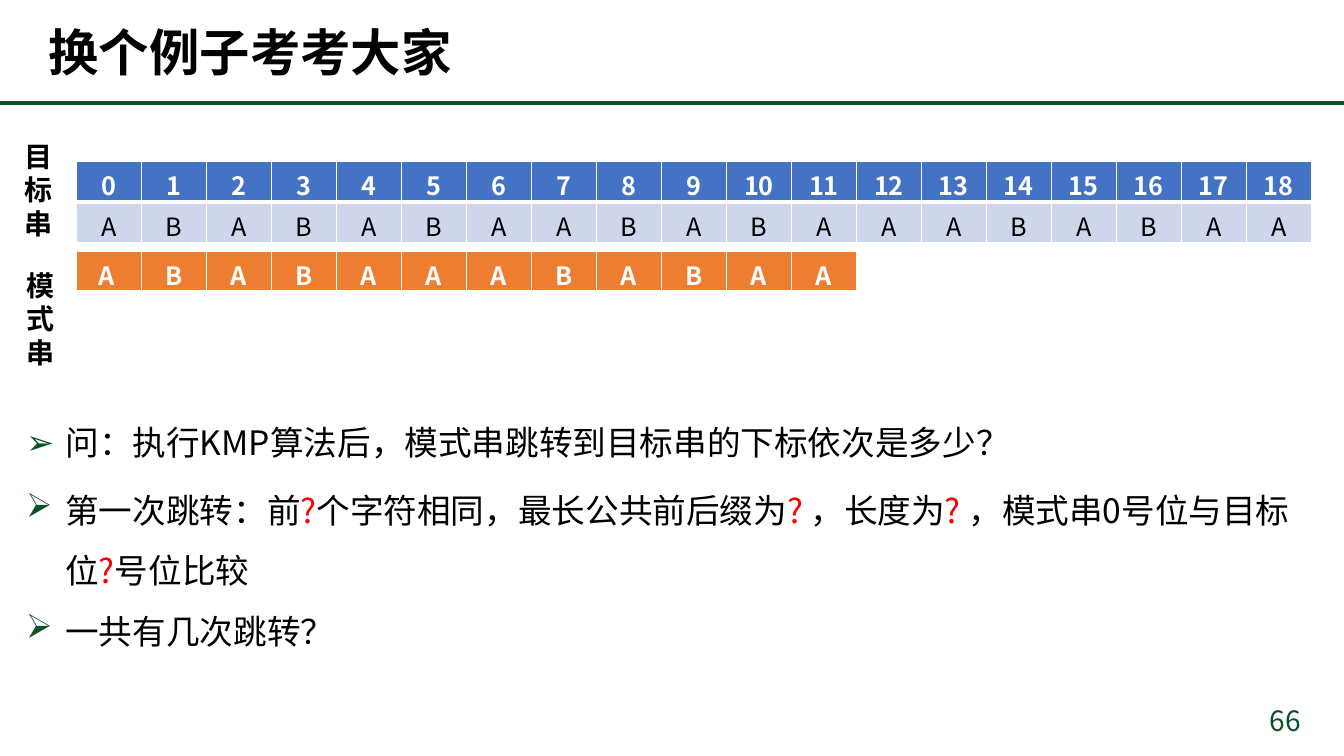
"""Build a slide that quizzes readers on the jumps of KMP matching."""
from dataclasses import dataclass

from lxml import etree
from pptx import Presentation
from pptx.dml.color import RGBColor
from pptx.enum.shapes import MSO_CONNECTOR
from pptx.enum.text import MSO_ANCHOR, MSO_AUTO_SIZE, PP_ALIGN
from pptx.oxml.ns import qn
from pptx.util import Inches, Pt

STRAIGHT = MSO_CONNECTOR.STRAIGHT
TOP, MIDDLE = MSO_ANCHOR.TOP, MSO_ANCHOR.MIDDLE
FIXED, GROW = MSO_AUTO_SIZE.NONE, MSO_AUTO_SIZE.SHAPE_TO_FIT_TEXT
LEFT, CENTER, RIGHT = PP_ALIGN.LEFT, PP_ALIGN.CENTER, PP_ALIGN.RIGHT

FONT = "Noto Sans CJK SC"
COLORS = {
    "green": "0B5128", "black": "000000", "white": "FFFFFF", "red": "FF0000",
    "blue": "4472C4", "pale": "CFD5EA", "orange": "ED7D31",
}
WIDE, TALL = 13.33, 7.5
RULE_Y = 1.02
CELL_W = 12.25 / 19
GRID_X = 0.76
INDENT = 0.39


@dataclass(frozen=True)
class Style:
    """Hold the look of a text."""
    size: int
    color: str = "black"
    bold: bool = False
    align: PP_ALIGN = LEFT
    bullet: bool = False


@dataclass(frozen=True)
class Block:
    """Hold a text box; red parts of a line stand between bars."""
    at: tuple[float, float, float, float]
    lines: tuple[str, ...]
    style: Style
    anchor: MSO_ANCHOR = TOP
    fit: MSO_AUTO_SIZE = GROW


@dataclass(frozen=True)
class Row:
    """Hold one row of a grid."""
    texts: list[str]
    fill: str
    style: Style
    edges: dict[str, int]


@dataclass(frozen=True)
class Grid:
    """Hold the place and rows of a table."""
    top: float
    height: float
    rows: tuple[Row, ...]


HEAD = Style(18, "white", True, CENTER)
PLAIN = Style(18, align=CENTER)
LABEL = Style(20, bold=True)
POINT = Style(24, bullet=True)
THICK = {"lnL": 1, "lnR": 1, "lnT": 1, "lnB": 3}
THIN = {"lnL": 1, "lnR": 1, "lnT": 3, "lnB": 1}

TITLE = Block((0.38, 0, 11.17, RULE_Y), ("换个例子考考大家",),
              Style(36, bold=True), MIDDLE, FIXED)
BODY = Block((0.16, 3.94, 11.84, 0.64),
             ("问：执行KMP算法后，模式串跳转到目标串的下标依次是多少？",), POINT)
BLOCKS = (
    Block((10, 6.93, 3, 0.4), ("66",), Style(20, "green", align=RIGHT), fit=FIXED),
    Block((0.14, 1.33, 0.62, 1.11), ("目标串",), LABEL),
    Block((0.16, 2.61, 0.5, 1.11), tuple("模式串"), LABEL),
    Block((0.16, 4.61, 12.85, 1.85),
          ("第一次跳转：前|?|个字符相同，最长公共前后缀为|? |，长度为|? |，"
           "模式串0号位与目标位|?|号位比较", "一共有几次跳转？"), POINT),
)
GRIDS = (
    Grid(1.6, 0.81, (
        Row([str(num) for num in range(19)], "blue", HEAD, THICK),
        Row(list("ABABABAABABAAABABAA"), "pale", PLAIN, THIN),
    )),
    Grid(2.49, 0.3, (
        Row(["A "] + list("BABAAABABAA"), "orange", HEAD, THICK),
    )),
)


def paint(name: str) -> RGBColor:
    """Return a named color."""
    return RGBColor.from_string(COLORS[name])


def assign(target: object, values: dict[str, object]) -> None:
    """Set each value on the target."""
    for name, value in values.items():
        setattr(target, name, value)


def add_bullet(para) -> None:
    """Give a paragraph an arrow bullet and a hanging indent."""
    props = para._p.get_or_add_pPr()
    props.set("marL", str(Inches(INDENT)))
    props.set("indent", str(-Inches(INDENT)))
    tint = etree.SubElement(props, qn("a:buClr"))
    etree.SubElement(tint, qn("a:srgbClr"), val=COLORS["green"])
    etree.SubElement(props, qn("a:buChar"), char="➢")


def write(frame, lines: tuple[str, ...], style: Style) -> None:
    """Write styled lines into a text frame."""
    for order, line in enumerate(lines):
        para = frame.add_paragraph() if order else frame.paragraphs[0]
        assign(para, {"alignment": style.align, "space_before": Pt(0),
                      "line_spacing": 1.5 if style.bullet else 1.0})
        if style.bullet:
            add_bullet(para)
        for part, text in enumerate(line.split("|")):
            run = para.add_run()
            run.text = text
            assign(run.font, {"name": FONT, "size": Pt(style.size), "bold": style.bold})
            run.font.color.rgb = paint("red" if part % 2 else style.color)
            latin = run.font._element.find(qn("a:latin"))
            latin.addnext(etree.Element(qn("a:ea"), typeface=FONT))


def fill_block(shape, block: Block) -> None:
    """Place a shape and write its block of text."""
    sides = ("left", "top", "width", "height")
    assign(shape, {side: Inches(value) for side, value in zip(sides, block.at)})
    assign(shape.text_frame, {"word_wrap": True, "auto_size": block.fit,
                              "vertical_anchor": block.anchor})
    write(shape.text_frame, block.lines, block.style)


def edge_cell(cell, edges: dict[str, int]) -> None:
    """Draw the white borders of a cell."""
    props = cell._tc.get_or_add_tcPr()
    for order, (side, width) in enumerate(edges.items()):
        line = etree.Element(qn(f"a:{side}"), w=str(Pt(width)))
        solid = etree.SubElement(line, qn("a:solidFill"))
        etree.SubElement(solid, qn("a:srgbClr"), val=COLORS["white"])
        props.insert(order, line)


def add_grid(slide, grid: Grid) -> None:
    """Add a table of letters."""
    count = len(grid.rows[0].texts)
    table = slide.shapes.add_table(
        len(grid.rows), count, Inches(GRID_X), Inches(grid.top),
        Inches(CELL_W * count), Inches(grid.height)).table
    assign(table, {"first_row": False, "horz_banding": False})
    for column in table.columns:
        column.width = Inches(CELL_W)
    for line, row in zip(table.rows, grid.rows):
        for cell, text in zip(line.cells, row.texts):
            cell.fill.solid()
            cell.fill.fore_color.rgb = paint(row.fill)
            edge_cell(cell, row.edges)
            write(cell.text_frame, (text,), row.style)


def add_rule(slide) -> None:
    """Add the green line under the title."""
    rule = slide.shapes.add_connector(
        STRAIGHT, Inches(0), Inches(RULE_Y), Inches(WIDE), Inches(RULE_Y))
    rule.line.color.rgb = paint("green")
    rule.line.width = Pt(3)
    etree.SubElement(rule._element.spPr, qn("a:effectLst"))


def main() -> None:
    """Build and save the slide."""
    deck = Presentation()
    assign(deck, {"slide_width": Inches(WIDE), "slide_height": Inches(TALL)})
    slide = deck.slides.add_slide(deck.slide_layouts[1])
    add_rule(slide)
    fill_block(slide.shapes.title, TITLE)
    fill_block(slide.placeholders[1], BODY)
    for grid in GRIDS:
        add_grid(slide, grid)
    for block in BLOCKS:
        fill_block(slide.shapes.add_textbox(0, 0, 0, 0), block)
    deck.save("out.pptx")


if __name__ == "__main__":
    main()
